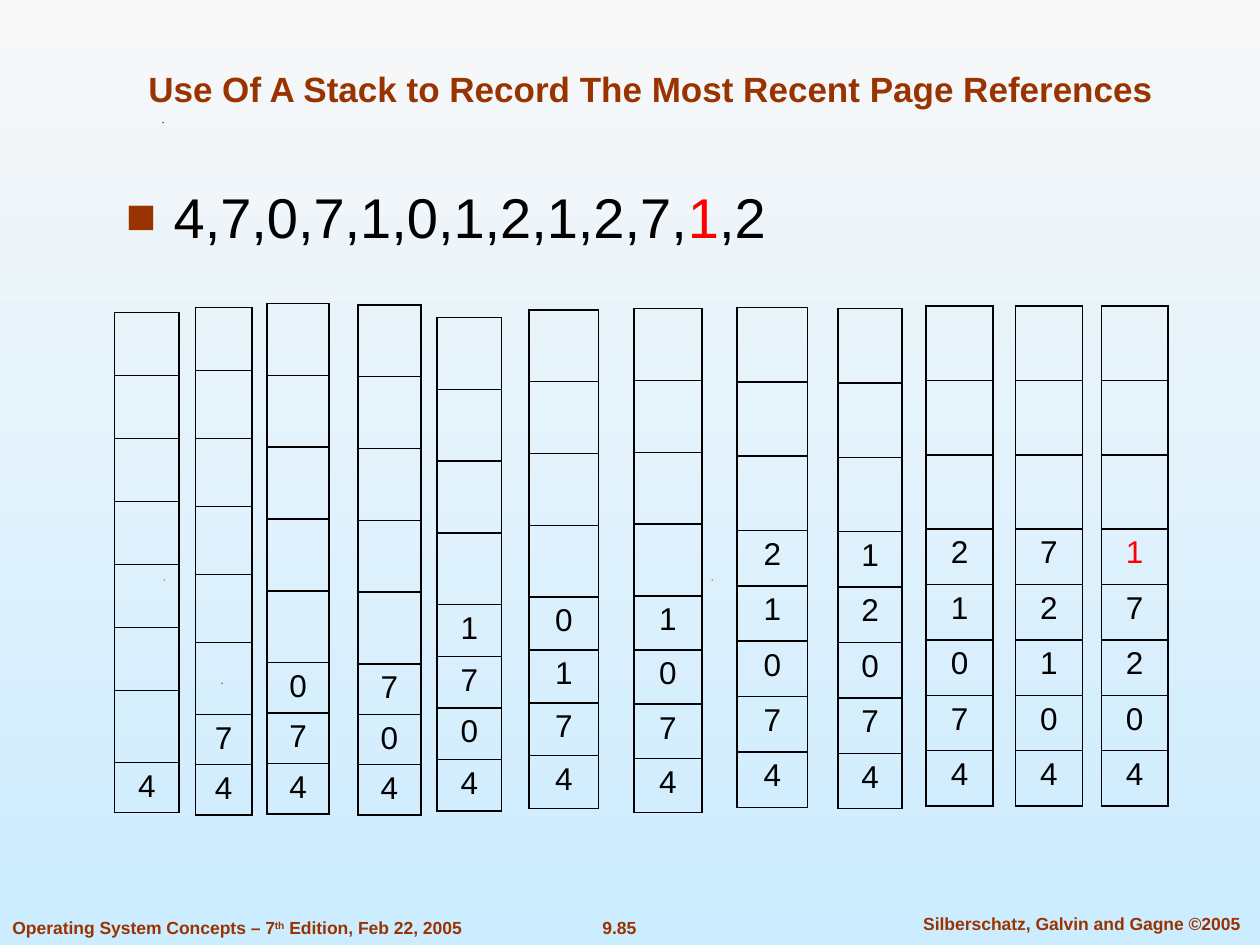
"""Build a slide of page-reference stacks, one table for each step."""
from lxml import etree
from pptx import Presentation
from pptx.dml.color import RGBColor
from pptx.enum.text import MSO_ANCHOR, PP_ALIGN
from pptx.oxml.ns import qn
from pptx.util import Inches, Pt

LEFT, MID = PP_ALIGN.LEFT, PP_ALIGN.CENTER
TOP, BASE = MSO_ANCHOR.TOP, MSO_ANCHOR.BOTTOM
HUES = {"rust": "993300", "ink": "000000", "red": "FF0000",
        "pale": "F8F8F8", "sky": "CCECFF"}


def add_run(para, text, size, hue, bold=False):
    run = para.add_run()
    run.text = text
    font = run.font
    font.name, font.size, font.bold = "Arial", Pt(size), bold
    font.color.rgb = RGBColor.from_string(HUES[hue])
    return run


def add_box(place, align, anchor=TOP, wrap=True, gap=0):
    frame = slide.shapes.add_textbox(*map(Inches, place)).text_frame
    frame.word_wrap = wrap
    frame.vertical_anchor = anchor
    para = frame.paragraphs[0]
    para.alignment = align
    para.space_before = Pt(gap)
    return para


deck = Presentation()
deck.slide_width, deck.slide_height = Inches(10), Inches(7.5)
slide = deck.slides.add_slide(deck.slide_layouts[6])

back = slide.background.fill
back.gradient()
back.gradient_angle = 270
for stop, hue in zip(back.gradient_stops, ("pale", "sky")):
    stop.color.rgb = RGBColor.from_string(HUES[hue])

for x, y in ((1.76, 5.42), (1.3, 4.6), (5.65, 4.6), (1.29, 0.97)):
    pen = slide.shapes.build_freeform(Inches(x), Inches(y + 0.01))
    pen.add_line_segments([(Inches(x + 0.01), Inches(y)),
                           (Inches(x), Inches(y))])
    speck = pen.convert_to_shape()
    speck.shadow.inherit = False
    speck.fill.solid()
    speck.fill.fore_color.rgb = RGBColor.from_string(HUES["ink"])
    speck.line.fill.background()

page = add_box((4.67, 7.23, 0.49, 0.27), MID, wrap=False, gap=1)
add_run(page, "9.85", 10, "rust", True)
names = add_box((7.1, 7.2, 2.97, 0.27), MID, gap=1)
add_run(names, "Silberschatz, Galvin and Gagne ©2005", 10, "rust", True)
book = add_box((0, 7.23, 3.78, 0.27), LEFT, wrap=False, gap=1)
add_run(book, "Operating System Concepts – 7", 10, "rust", True)
raised = add_run(book, "th", 10, "rust", True)
raised.font._element.set("baseline", "30000")
add_run(book, " Edition, Feb 22, 2005", 10, "rust", True)

title = add_box((0.75, 0.25, 8.83, 0.67), MID, BASE)
add_run(title, "Use Of A Stack to Record The Most Recent Page References",
        20, "rust", True)

refs = add_box((0.9, 1.4, 8.04, 0.73), LEFT, gap=4)
props = refs._p.get_or_add_pPr()
props.set("marL", str(Inches(0.38)))
props.set("indent", str(Inches(-0.38)))
tint = etree.SubElement(props, qn("a:buClr"))
etree.SubElement(tint, qn("a:srgbClr"), val=HUES["rust"])
etree.SubElement(props, qn("a:buSzPct"), val="90000")
etree.SubElement(props, qn("a:buFont"), typeface="Arial")
etree.SubElement(props, qn("a:buChar"), char="■")
for text, hue in (("4,7,0,7,1,0,1,2,1,2,7,", "ink"), ("1", "red"), (",2", "ink")):
    add_run(refs, text, 32, hue)

stacks = [
    (0.91, 2.48, 0.51, [0.5] * 6 + [0.57], 0.4, "4"),
    (1.55, 2.44, 0.45, [0.5] + [0.54] * 4 + [0.57], 0.4, "74"),
    (2.12, 2.41, 0.49, [0.57] * 5, 0.4, "074"),
    (2.84, 2.42, 0.5, [0.57] * 5, 0.4, "704"),
    (3.47, 2.52, 0.51, [0.57] * 4, 0.41, "1704"),
    (4.2, 2.46, 0.55, [0.57] * 4, 0.42, "0174"),
    (5.03, 2.45, 0.54, [0.57] * 4, 0.43, "1074"),
    (5.85, 2.44, 0.56, [0.59] * 3, 0.44, "21074"),
    (6.65, 2.45, 0.51, [0.59] * 3, 0.44, "12074"),
    (7.35, 2.43, 0.53, [0.59] * 3, 0.44, "21074"),
    (8.06, 2.43, 0.53, [0.59] * 3, 0.44, "72104"),
    (8.74, 2.43, 0.53, [0.59] * 3, 0.44, "17204"),
]
last = len(stacks) - 1
for step, (x, y, wide, free, tall, pages) in enumerate(stacks):
    highs = free + [tall] * len(pages)
    digits = [""] * len(free) + list(pages)
    table = slide.shapes.add_table(len(highs), 1, Inches(x), Inches(y),
                                   Inches(wide), Inches(sum(highs))).table
    table.first_row = table.horz_banding = False
    table.columns[0].width = Inches(wide)
    for row, (high, digit) in enumerate(zip(highs, digits)):
        table.rows[row].height = Inches(high)
        cell = table.cell(row, 0)
        for side in "LRTB":
            edge = etree.SubElement(cell._tc.get_or_add_tcPr(),
                                    qn("a:ln" + side), w=str(Pt(1)))
            paint = etree.SubElement(edge, qn("a:solidFill"))
            etree.SubElement(paint, qn("a:srgbClr"), val=HUES["ink"])
        cell.fill.background()
        if digit:
            para = cell.text_frame.paragraphs[0]
            para.alignment = MID
            hot = step == last and row == len(free)
            add_run(para, digit, 18, "red" if hot else "ink")

deck.save("out.pptx")
